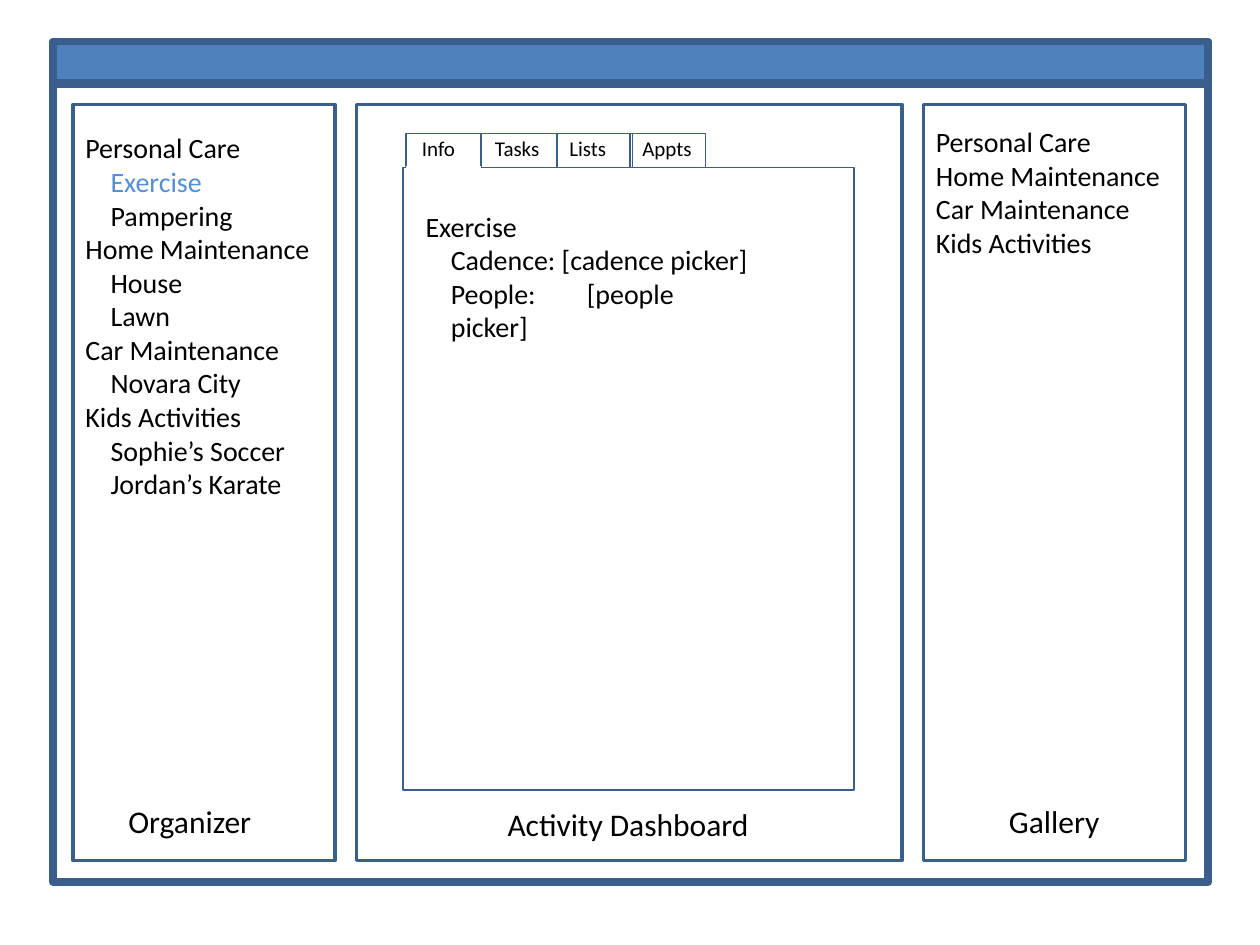
"""Build a wireframe slide of an activity planner."""
from lxml import etree
from pptx import Presentation
from pptx.dml.color import RGBColor
from pptx.enum import shapes, text
from pptx.oxml import ns
from pptx.util import Inches, Pt

HUES = dict(edge="3A5F8C", bar="4F81BD", pick="558ED5", ink="000000", bare="FFFFFF")
INDENT, STOP = 0.2, 1.08
FRAME = dict(left=0.42, width=9.17, bar=0.33, top=0.67, height=6.33)
PANEL = dict(top=0.83, height=6)
PANELS = [(0.58, 2.08), (2.83, 4.33), (7.33, 2.08)]
NAMES = [("Organizer", 0.92, 6.32, 1.19), ("Activity Dashboard", 3.93, 6.34, 2.14),
         ("Gallery", 7.91, 6.32, 0.93)]
TREE = [
    ("Personal Care", ["Exercise", "Pampering"]),
    ("Home Maintenance", ["House", "Lawn"]),
    ("Car Maintenance", ["Novara City"]),
    ("Kids Activities", ["Sophie’s Soccer", "Jordan’s Karate"]),
]
FORM = [("Exercise", ["Cadence: [cadence picker]", "People:\t[people picker]"])]
PAGE = (3.2, 1.33, 3.58, 4.94)
TAB = dict(top=1.06, width=0.6, height=0.27)
TABS = [("Info", 3.22, 3.25, 0.47), ("Tasks", 3.82, 3.83, 0.56),
        ("Lists", 4.42, 4.42, 0.5), ("Appts", 5, 5, 0.6)]

deck = Presentation()
deck.slide_width, deck.slide_height = Inches(10), Inches(7.5)
slide = deck.slides.add_slide(deck.slide_layouts[6])


def color(key):
    return RGBColor.from_string(HUES[key])


def add_box(area, weight, fill=None):
    box = slide.shapes.add_shape(shapes.MSO_SHAPE.RECTANGLE, *map(Inches, area))
    box.shadow.inherit = False
    if fill:
        box.fill.solid()
        box.fill.fore_color.rgb = color(fill)
    else:
        box.fill.background()
    box.line.color.rgb, box.line.width = color("edge"), Pt(weight)


def add_text(area, rows, size):
    frame = slide.shapes.add_textbox(*map(Inches, area)).text_frame
    look = dict(word_wrap=False, auto_size=text.MSO_AUTO_SIZE.SHAPE_TO_FIT_TEXT)
    for key, value in look.items():
        setattr(frame, key, value)
    for i, (words, level, hue) in enumerate(rows):
        para = frame.add_paragraph() if i else frame.paragraphs[0]
        para.text = words
        for key, value in dict(name="Calibri", size=Pt(size)).items():
            setattr(para.font, key, value)
        para.font.color.rgb = color(hue)
        props = para._p.get_or_add_pPr()
        props.set("marL", str(Inches(INDENT * level)))
        if "\t" in words:
            stops = etree.Element(ns.qn("a:tabLst"))
            etree.SubElement(stops, ns.qn("a:tab"), pos=str(Inches(STOP)), algn="l")
            props.insert(0, stops)


def flatten(tree, pick=None):
    rows = []
    for head, items in tree:
        rows.append((head, 0, "ink"))
        rows += [(item, 1, "pick" if item == pick else "ink") for item in items]
    return rows


add_box((FRAME["left"], FRAME["top"], FRAME["width"], FRAME["height"]), 4.5)
for left, width in PANELS:
    add_box((left, PANEL["top"], width, PANEL["height"]), 2)
for name, left, top, width in NAMES:
    add_text((left, top, width, 0.4), [(name, 0, "ink")], 18)
add_text((0.58, 0.99, 2, 3.06), flatten(TREE, "Exercise"), 16)
add_text((7.33, 0.94, 2, 1.18), [(head, 0, "ink") for head, _ in TREE], 16)
add_text((3.28, 1.61, 2.79, 0.91), flatten(FORM), 16)

add_box(PAGE, 1)
for name, left, start, width in TABS:
    add_box((left, TAB["top"], TAB["width"], TAB["height"]), 1)
    add_text((start, 1.03, width, 0.3), [(name, 0, "ink")], 12)
first, base = TABS[0][1], PAGE[1]
gap = slide.shapes.add_connector(
    shapes.MSO_CONNECTOR.STRAIGHT, *map(Inches, (first, base, first + TAB["width"], base)))
gap.line.color.rgb, gap.line.width = color("bare"), Pt(1.25)
etree.SubElement(gap._element.spPr, ns.qn("a:effectLst"))
add_box((FRAME["left"], FRAME["top"] - FRAME["bar"] - 0.01, FRAME["width"], FRAME["bar"]), 4.5, "bar")

deck.save("out.pptx")
